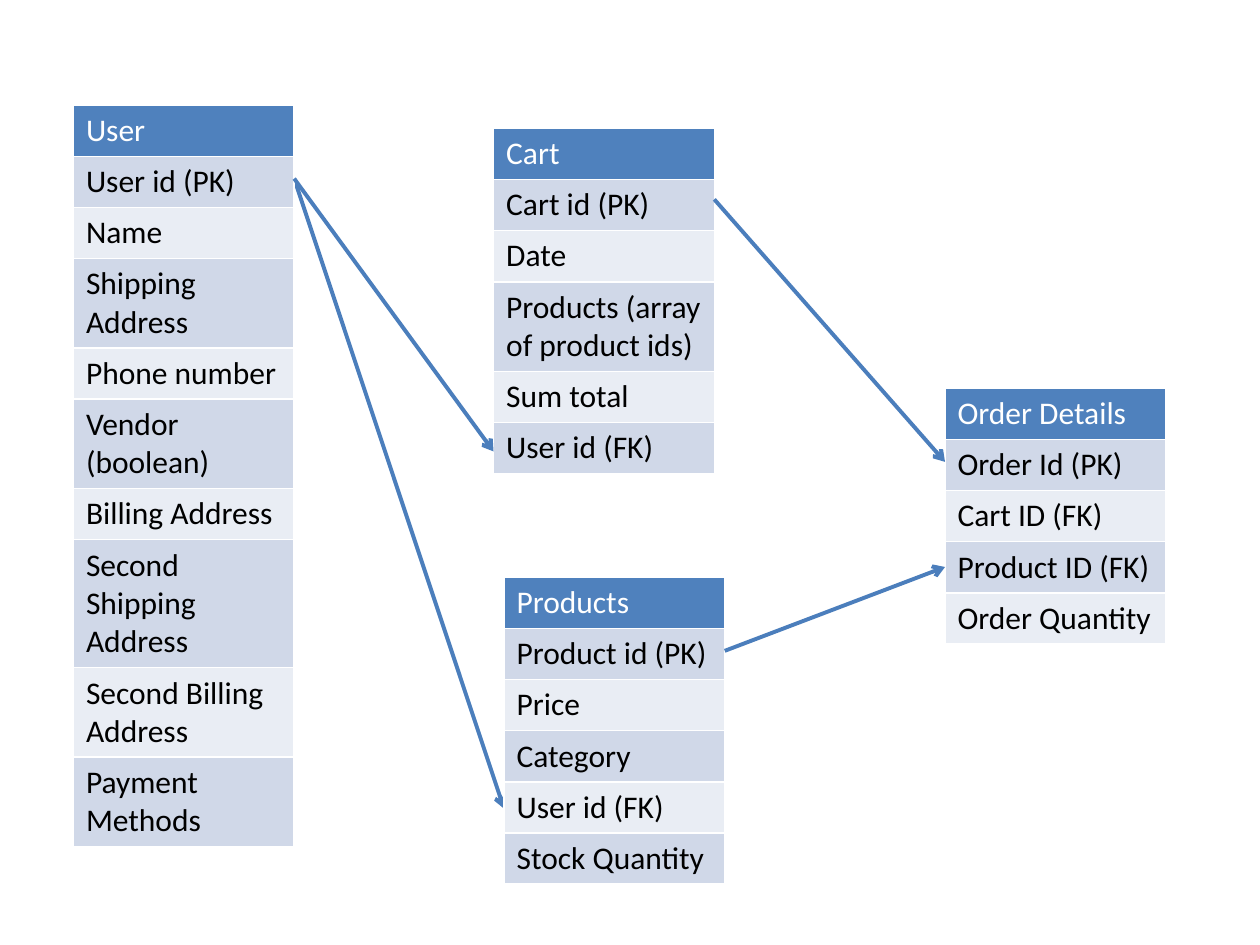
from dataclasses import dataclass

from lxml import etree
from pptx import Presentation
from pptx import util as u
from pptx.dml.color import RGBColor
from pptx.enum import shapes
from pptx.oxml import ns

WHITE = RGBColor(0xFF, 0xFF, 0xFF)
BLACK = RGBColor(0x00, 0x00, 0x00)
HEADER_BLUE = RGBColor(0x4F, 0x81, 0xBD)
BAND_DARK = RGBColor(0xD0, 0xD8, 0xE8)
BAND_LIGHT = RGBColor(0xE9, 0xED, 0xF4)
LINE_BLUE = RGBColor(0x4B, 0x7E, 0xBC)

TABLE_WIDTH = 4.45
ROW_HEIGHT = 1.03
TEXT_FORMAT = {"name": "Calibri", "size": u.Pt(18), "bold": False}


@dataclass(frozen=True)
class Entity:
    """A database table; left and top are in centimetres."""
    name: str
    left: float
    top: float
    fields: tuple[str, ...]


@dataclass(frozen=True)
class Relation:
    """An arrow from the right side of one entity to the left side of another."""
    source: Entity
    start_y: float
    target: Entity
    end_y: float


USER = Entity("User", 1.48, 2.12, (
    "User id (PK)", "Name", "Shipping Address", "Phone number",
    "Vendor (boolean)", "Billing Address", "Second Shipping Address",
    "Second Billing Address", "Payment Methods"))
PRODUCTS = Entity("Products", 10.16, 11.64, (
    "Product id (PK)", "Price", "Category", "User id (FK)", "Stock Quantity"))
CART = Entity("Cart", 9.95, 2.59, (
    "Cart id (PK)", "Date", "Products (array of product ids)", "Sum total",
    "User id (FK)"))
ORDER_DETAILS = Entity("Order Details", 19.05, 7.83, (
    "Order Id (PK)", "Cart ID (FK)", "Product ID (FK)", "Order Quantity"))

# From back to front
DIAGRAM = (
    Relation(USER, 3.6, PRODUCTS, 16.3),
    USER,
    PRODUCTS,
    CART,
    Relation(USER, 3.6, CART, 9.1),
    ORDER_DETAILS,
    Relation(CART, 4.02, ORDER_DETAILS, 9.31),
    Relation(PRODUCTS, 13.12, ORDER_DETAILS, 11.43),
)


def set_borders(cell) -> None:
    properties = cell._tc.get_or_add_tcPr()
    for side in "LRTB":
        border = etree.SubElement(properties, ns.qn(f"a:ln{side}"), w=str(u.Pt(1)))
        fill = etree.SubElement(border, ns.qn("a:solidFill"))
        etree.SubElement(fill, ns.qn("a:srgbClr"), val=str(WHITE))


def draw_entity(slide, entity: Entity) -> None:
    labels = (entity.name, *entity.fields)
    frame = slide.shapes.add_table(
        len(labels), 1, u.Cm(entity.left), u.Cm(entity.top),
        u.Cm(TABLE_WIDTH), u.Cm(ROW_HEIGHT * len(labels)))
    for index, label in enumerate(labels):
        is_header = index == 0
        cell = frame.table.cell(index, 0)
        set_borders(cell)
        cell.fill.solid()
        band = BAND_DARK if index % 2 else BAND_LIGHT
        cell.fill.fore_color.rgb = HEADER_BLUE if is_header else band
        cell.text = label
        font = cell.text_frame.paragraphs[0].runs[0].font
        for attribute, value in TEXT_FORMAT.items():
            setattr(font, attribute, value)
        font.color.rgb = WHITE if is_header else BLACK


def draw_relation(slide, relation: Relation) -> None:
    connector = slide.shapes.add_connector(
        shapes.MSO_CONNECTOR.STRAIGHT,
        u.Cm(relation.source.left + TABLE_WIDTH), u.Cm(relation.start_y),
        u.Cm(relation.target.left), u.Cm(relation.end_y))
    connector.line.color.rgb = LINE_BLUE
    connector.line.width = u.Pt(2.25)
    line = connector.line._get_or_add_ln()
    etree.SubElement(line, ns.qn("a:tailEnd"), type="arrow")
    etree.SubElement(connector._element.spPr, ns.qn("a:effectLst"))


def main() -> None:
    presentation = Presentation()
    presentation.slide_width = u.Cm(25.4)
    presentation.slide_height = u.Cm(19.05)
    slide = presentation.slides.add_slide(presentation.slide_layouts[6])
    for item in DIAGRAM:
        if isinstance(item, Entity):
            draw_entity(slide, item)
        else:
            draw_relation(slide, item)
    presentation.save("out.pptx")


if __name__ == "__main__":
    main()
